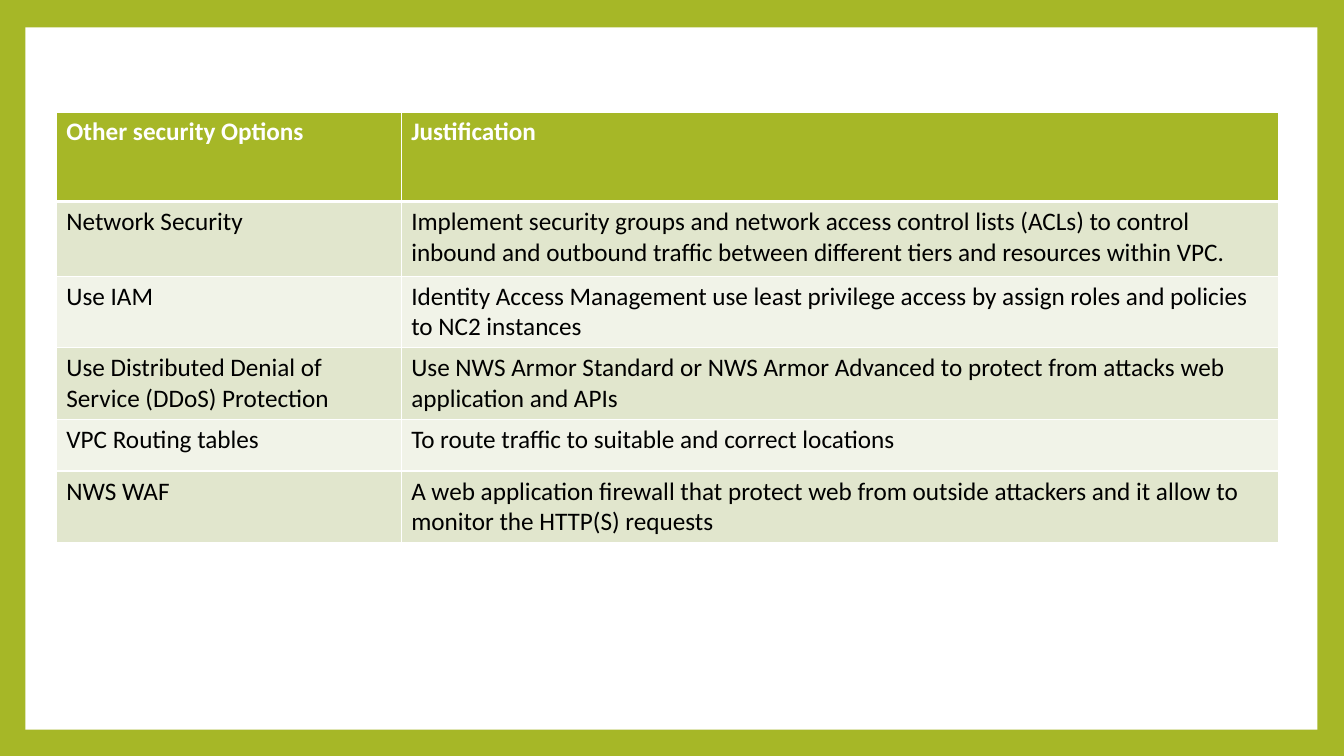
from lxml.etree import SubElement
from pptx import Presentation
from pptx.dml.color import RGBColor
from pptx.enum.shapes import MSO_SHAPE
from pptx.oxml.ns import qn
from pptx.util import Cm, Pt

HUES = {"lime": "A6B727", "white": "FFFFFF", "black": "000000",
        "sage": "E1E6CD", "pale": "F1F3E8"}

COLS = [8.69, 22.1]
TALLS = [2.26, 1.88] + [1.3] * 4
ROWS = [
    ("Other security Options", "Justification"),
    ("Network Security",
     "Implement security groups and network access control lists (ACLs) to control "
     "inbound and outbound traffic between different tiers and resources within VPC."),
    ("Use IAM",
     "Identity Access Management use least privilege access by assign roles and "
     "policies to NC2 instances"),
    ("Use Distributed Denial of Service (DDoS) Protection",
     "Use NWS Armor Standard or NWS Armor Advanced to protect from attacks web "
     "application and APIs"),
    ("VPC Routing tables", "To route traffic to suitable and correct locations"),
    ("NWS WAF",
     "A web application firewall that protect web from outside attackers and it "
     "allow to monitor the HTTP(S) requests"),
]


class Deck:
    def __init__(self, wide, high):
        self.prs = Presentation()
        self.prs.slide_width, self.prs.slide_height = Cm(wide), Cm(high)
        self.slide = self.prs.slides.add_slide(self.prs.slide_layouts[6])
        self.font = {"name": "Calibri", "size": Pt(18)}

    def paint(self, fill, hue):
        fill.solid()
        fill.fore_color.rgb = RGBColor.from_string(HUES[hue])

    def panel(self, box, hue):
        shape = self.slide.shapes.add_shape(MSO_SHAPE.RECTANGLE, *map(Cm, box))
        shape.shadow.inherit = False
        shape.line.fill.background()
        self.paint(shape.fill, hue)

    def edge(self, cell, side, width):
        line = SubElement(cell._tc.get_or_add_tcPr(), qn("a:ln" + side),
                          w=str(Pt(width)))
        fill = SubElement(line, qn("a:solidFill"))
        SubElement(fill, qn("a:srgbClr"), val=HUES["white"])

    def cell(self, cell, text, hue, ink, edges, **style):
        # Borders come before the fill in the cell properties
        for side, width in edges.items():
            self.edge(cell, side, width)
        self.paint(cell.fill, hue)
        run = cell.text_frame.paragraphs[0].add_run()
        run.text = text
        for key, value in (self.font | style).items():
            setattr(run.font, key, value)
        run.font.color.rgb = RGBColor.from_string(HUES[ink])

    def table(self, left, top, cols, talls, rows):
        box = map(Cm, (left, top, sum(cols), sum(talls)))
        grid = self.slide.shapes.add_table(len(rows), len(cols), *box).table
        for col, width in zip(grid.columns, cols):
            col.width = Cm(width)
        for r, (texts, tall) in enumerate(zip(rows, talls)):
            grid.rows[r].height = Cm(tall)
            head = r == 0
            hue = "lime" if head else ("pale", "sage")[r % 2]
            edges = {"L": 1, "R": 1, "T": 3 if r == 1 else 1, "B": 3 if head else 1}
            for c, text in enumerate(texts):
                self.cell(grid.cell(r, c), text, hue, "white" if head else "black",
                          edges, bold=head)


def main():
    deck = Deck(33.87, 19.05)
    # Lime frame around a white panel
    deck.paint(deck.slide.background.fill, "lime")
    deck.panel((0.64, 0.69, 32.56, 17.7), "white")
    # Security options
    deck.table(1.42, 2.82, COLS, TALLS, ROWS)
    deck.prs.save("out.pptx")


if __name__ == "__main__":
    main()
